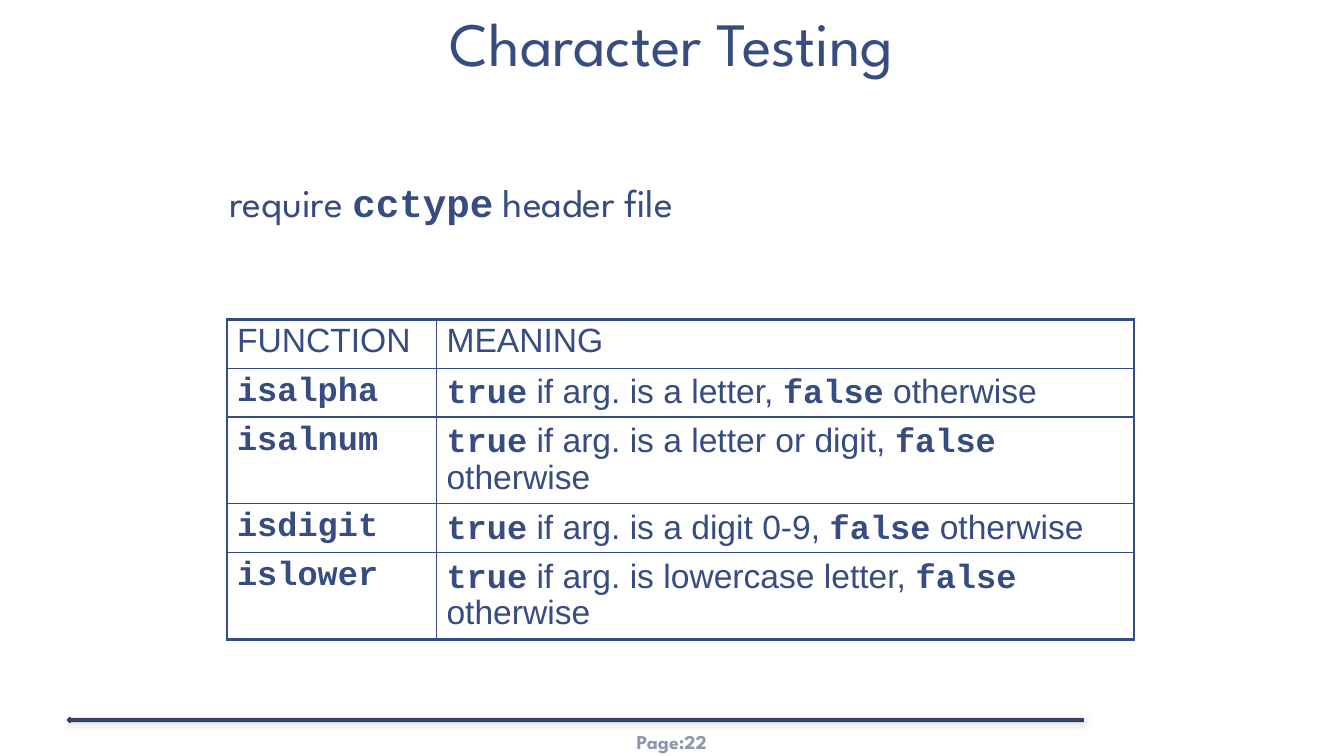
from lxml import etree
from pptx import Presentation
from pptx.dml.color import RGBColor
from pptx.enum.shapes import MSO_SHAPE
from pptx.enum.text import MSO_ANCHOR, PP_ALIGN
from pptx.oxml.ns import qn
from pptx.util import Cm, Pt

LEFT_ARROW = MSO_SHAPE.LEFT_ARROW
TOP, MIDDLE, BOTTOM = MSO_ANCHOR.TOP, MSO_ANCHOR.MIDDLE, MSO_ANCHOR.BOTTOM
LEFT, CENTER = PP_ALIGN.LEFT, PP_ALIGN.CENTER

NAVY = RGBColor(0x37, 0x4C, 0x81)
DARK_NAVY = RGBColor(0x30, 0x3A, 0x58)
GREY = RGBColor(0x91, 0x96, 0xAC)
HEADING_FONT, BODY_FONT, CODE_FONT = "League Spartan", "Arial", "Courier New"
THIN, THICK = Pt(1), Pt(2.25)


def add_spans(para, spans, size, color=NAVY):
    """Add (text, font name, bold) spans to a paragraph."""
    for text, font_name, bold in spans:
        span = para.add_run()
        span.text = text
        span.font.name = font_name
        span.font.size = Pt(size)
        span.font.bold = bold
        span.font.color.rgb = color


def add_border(cell, side, width):
    """Draw one side (L, R, T or B) of a table cell."""
    line = etree.SubElement(cell._tc.get_or_add_tcPr(), qn(f"a:ln{side}"), w=str(int(width)))
    fill = etree.SubElement(line, qn("a:solidFill"))
    etree.SubElement(fill, qn("a:srgbClr"), val=str(NAVY))


deck = Presentation()
deck.slide_width, deck.slide_height = Cm(33.87), Cm(19.05)
page = deck.slides.add_slide(deck.slide_layouts[6])

# Footer arrow with a soft shadow
arrow = page.shapes.add_shape(LEFT_ARROW, Cm(1.7), Cm(18.08), Cm(25.6), Cm(0.13))
arrow.fill.solid()
arrow.fill.fore_color.rgb = NAVY
arrow.line.color.rgb = DARK_NAVY
arrow.line.width = Pt(1)
arrow.shadow.inherit = False
effects = arrow._element.spPr.find(qn("a:effectLst"))
shadow = etree.SubElement(effects, qn("a:outerShdw"), blurRad=str(Pt(6)),
                          dist=str(Pt(1)), dir=str(45 * 60000), rotWithShape="0")
shadow_color = etree.SubElement(shadow, qn("a:srgbClr"), val="000000")
etree.SubElement(shadow_color, qn("a:alpha"), val="20000")

# Page number, title and introduction:
# place, margins (side, top), anchor, alignment, line spacing, space before, size, colour, spans
text_boxes = [
    ((14.68, 18.19, 4.5, 1.02), (0.1, 0.05), MIDDLE, CENTER, 1, 0, 14, GREY,
     [("Page:22", HEADING_FONT, True)]),
    ((0, 0, 33.87, 2.18), (0.33, 0.18), BOTTOM, CENTER, 0.85, 0, 44, NAVY,
     [("Character Testing", HEADING_FONT, False)]),
    ((5.54, 4.45, 21.92, 1.65), (0.25, 0.13), TOP, LEFT, 0.95, 18.7, 28, NAVY,
     [("require ", HEADING_FONT, False), ("cctype", CODE_FONT, True),
      (" header file", HEADING_FONT, False)]),
]
for place, margins, anchor, align, spacing, before, size, color, spans in text_boxes:
    frame = page.shapes.add_textbox(*map(Cm, place)).text_frame
    frame.word_wrap = True
    frame.vertical_anchor = anchor
    frame.margin_left = frame.margin_right = Cm(margins[0])
    frame.margin_top = frame.margin_bottom = Cm(margins[1])
    para = frame.paragraphs[0]
    para.alignment = align
    para.line_spacing = spacing
    para.space_before = Pt(before)
    add_spans(para, spans, size, color)

# Function table
functions = [
    ("isalpha", "a letter"),
    ("isalnum", "a letter or digit"),
    ("isdigit", "a digit 0-9"),
    ("islower", "lowercase letter"),
]
rows = [([("FUNCTION", BODY_FONT, False)], [("MEANING", BODY_FONT, False)])]
for name, condition in functions:
    meaning = [("true", CODE_FONT, True), (f" if arg. is {condition}, ", BODY_FONT, False),
               ("false", CODE_FONT, True), (" otherwise", BODY_FONT, False)]
    rows.append(([(name, CODE_FONT, True)], meaning))

column_widths = [5.28, 17.58]
row_heights = [1.23, 1.23, 2.18, 1.23, 2.18]
table = page.shapes.add_table(len(rows), 2, Cm(5.72), Cm(8.05),
                              Cm(sum(column_widths)), Cm(sum(row_heights))).table
table.first_row = table.horz_banding = False
for column, width in zip(table.columns, column_widths):
    column.width = Cm(width)
for r, (row, height) in enumerate(zip(rows, row_heights)):
    table.rows[r].height = Cm(height)
    for c, spans in enumerate(row):
        cell = table.cell(r, c)
        outer_sides = {"L": c == 0, "R": c == 1, "T": r == 0, "B": r == len(rows) - 1}
        for side, is_outer in outer_sides.items():
            add_border(cell, side, THICK if is_outer else THIN)
        cell.fill.background()
        para = cell.text_frame.paragraphs[0]
        para.line_spacing = 0.95
        add_spans(para, spans, 24)

deck.save("out.pptx")
